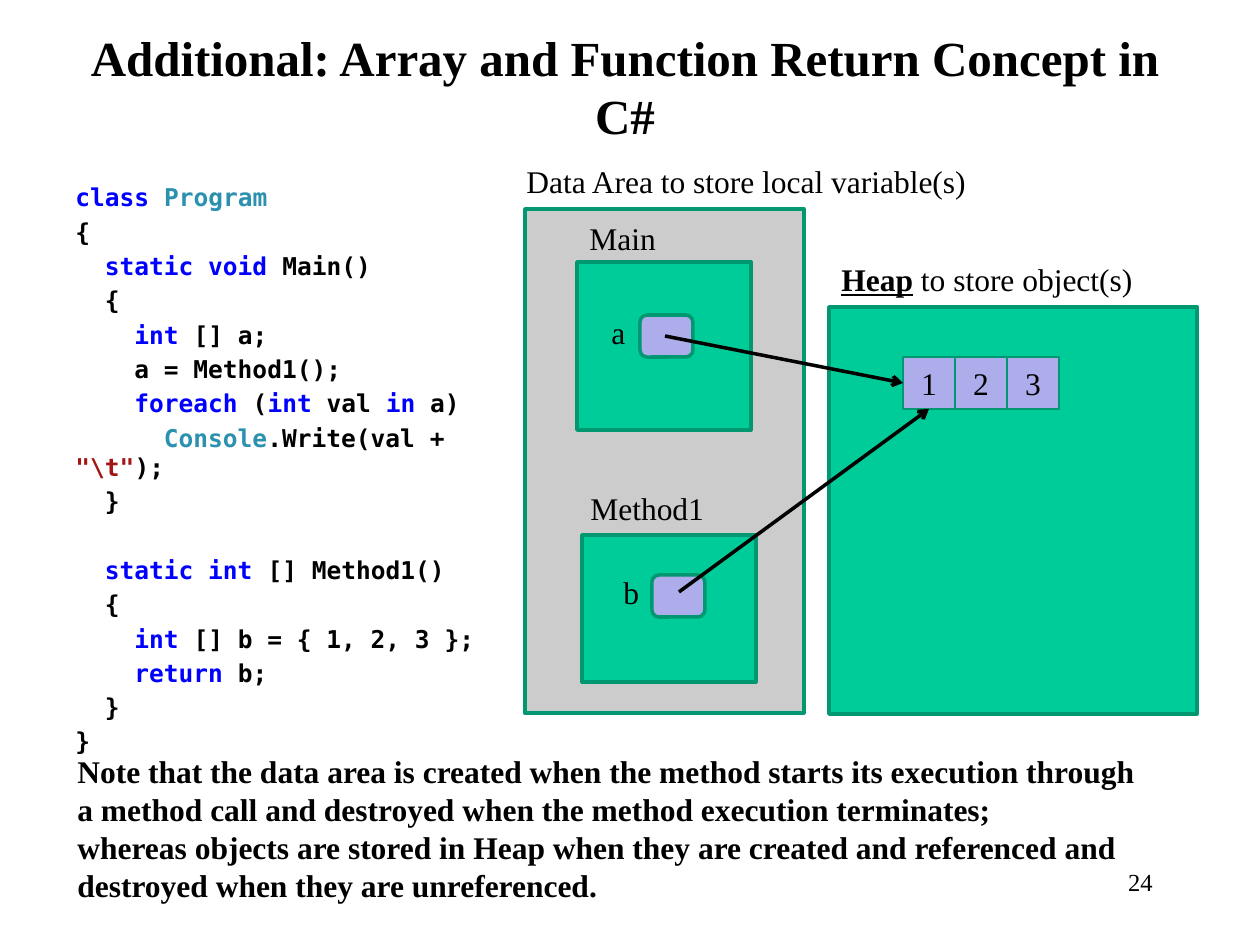
"""Build a slide on arrays and function return in C#."""
from pptx import Presentation
from pptx.dml.color import RGBColor
from pptx.enum.shapes import MSO_CONNECTOR, MSO_SHAPE
from pptx.enum.text import MSO_ANCHOR, PP_ALIGN
from pptx.oxml.ns import qn
from pptx.util import Emu, Pt
from lxml.etree import SubElement

SERIF = "Times New Roman"
MONO = "DejaVu Sans Mono"
BLACK = RGBColor(0x00, 0x00, 0x00)
GREY = RGBColor(0xCC, 0xCC, 0xCC)
GREEN = RGBColor(0x00, 0xCC, 0x99)
DARK_GREEN = RGBColor(0x00, 0x97, 0x71)
LILAC = RGBColor(0xAD, 0xAD, 0xEB)
KEYWORD = RGBColor(0x00, 0x00, 0xFF)
TYPE = RGBColor(0x2B, 0x91, 0xAF)
STRING = RGBColor(0xA3, 0x15, 0x15)

CODE_INDENT = Pt(16.86)
CODE_GAP = Pt(2.8)
METHOD_GAP = Pt(22.4)
CELL = 52

CODE = [
    (0, [("class ", KEYWORD), ("Program", TYPE)]),
    (0, [("{", BLACK)]),
    (1, [("static void", KEYWORD), (" Main()", BLACK)]),
    (1, [("{", BLACK)]),
    (2, [("int ", KEYWORD), ("[] a;", BLACK)]),
    (2, [("a = Method1();", BLACK)]),
    (2, [("foreach", KEYWORD), (" (", BLACK), ("int ", KEYWORD),
         ("val ", BLACK), ("in", KEYWORD), (" a)", BLACK)]),
    (3, [("Console", TYPE), (".Write(val + ", BLACK),
         ('"\\t"', STRING), (");", BLACK)]),
    (1, [("}", BLACK)]),
    (1, [("static int ", KEYWORD), ("[] Method1()", BLACK)]),
    (1, [("{", BLACK)]),
    (2, [("int ", KEYWORD), ("[] b = { 1, 2, 3 };", BLACK)]),
    (2, [("return ", KEYWORD), ("b;", BLACK)]),
    (1, [("}", BLACK)]),
    (0, [("}", BLACK)]),
]
SECOND_METHOD = 9

NOTES = [
    "Note that the data area is created when the method starts its execution "
    "through a method call and destroyed when the method execution terminates;",
    "whereas objects are stored in Heap when they are created and referenced "
    "and destroyed when they are unreferenced.",
]


def px(length):
    """Turn pixels into EMU."""
    return Emu(round(length * 914400 / 126))


def add_run(para, text, size=18, bold=False, color=BLACK, font=SERIF):
    """Add one styled run and return it."""
    span = para.add_run()
    span.text = text
    span.font.name = font
    span.font.size = Pt(size)
    span.font.bold = bold
    span.font.color.rgb = color
    return span


def add_box(page, bounds, anchor=MSO_ANCHOR.TOP):
    """Add an empty wrapping text box and return its text frame."""
    frame = page.shapes.add_textbox(*map(px, bounds)).text_frame
    frame.word_wrap = True
    frame.vertical_anchor = anchor
    return frame


def add_text(page, bounds, text, size=18, bold=False,
             align=PP_ALIGN.LEFT, anchor=MSO_ANCHOR.TOP):
    """Add a text box holding one paragraph."""
    para = add_box(page, bounds, anchor).paragraphs[0]
    para.alignment = align
    add_run(para, text, size, bold)
    return para


def add_area(page, bounds, fill, preset=MSO_SHAPE.RECTANGLE, width=2):
    """Add a filled, outlined shape."""
    shape = page.shapes.add_shape(preset, *map(px, bounds))
    shape.shadow.inherit = False
    shape.fill.solid()
    shape.fill.fore_color.rgb = fill
    shape.line.color.rgb = DARK_GREEN
    shape.line.width = Pt(width)
    return shape


def add_variable(page, left, top, name):
    """Add a rounded variable slot with its name on the left."""
    add_area(page, (left, top, 53, 42), LILAC, MSO_SHAPE.ROUNDED_RECTANGLE)
    add_text(page, (left - 41, top - 8, 58, 50), name)


def add_array(page, left, top, values):
    """Add a row of adjoining array cells."""
    for index, value in enumerate(values):
        cell = add_area(page, (left + index * CELL, top, CELL, CELL), LILAC, width=0.75)
        cell.text_frame.vertical_anchor = MSO_ANCHOR.MIDDLE
        para = cell.text_frame.paragraphs[0]
        para.alignment = PP_ALIGN.CENTER
        add_run(para, str(value))


def add_arrow(page, start, end):
    """Add a black reference arrow."""
    arrow = page.shapes.add_connector(MSO_CONNECTOR.STRAIGHT, *map(px, start + end))
    arrow.line.color.rgb = BLACK
    arrow.line.width = Pt(2)
    SubElement(arrow.line._get_or_add_ln(), qn("a:tailEnd"), type="arrow")
    SubElement(arrow._element.spPr, qn("a:effectLst"))


def add_code(page, bounds):
    """Add the coloured program listing."""
    frame = add_box(page, bounds)
    for index, (depth, pieces) in enumerate(CODE):
        para = frame.add_paragraph() if index else frame.paragraphs[0]
        para.space_before = METHOD_GAP if index == SECOND_METHOD else CODE_GAP
        properties = para._p.get_or_add_pPr()
        properties.set("marL", "0")
        properties.set("indent", str(depth * CODE_INDENT))
        for text, color in pieces:
            add_run(para, text, 14, True, color, MONO)


def add_notes(page, bounds):
    """Add the bold closing remarks."""
    frame = add_box(page, bounds)
    for index, text in enumerate(NOTES):
        para = frame.add_paragraph() if index else frame.paragraphs[0]
        add_run(para, text, bold=True)


def main():
    """Build and save the deck."""
    deck = Presentation()
    deck.slide_width, deck.slide_height = px(1260), px(945)
    page = deck.slides.add_slide(deck.slide_layouts[6])

    add_area(page, (525, 209, 279, 504), GREY)
    add_text(page, (63, 31, 1124, 120),
             "Additional: Array and Function Return Concept in C#",
             28, True, PP_ALIGN.CENTER, MSO_ANCHOR.BOTTOM)
    add_code(page, (63, 176, 462, 600))
    add_text(page, (903, 861, 262, 63), "24", 14, align=PP_ALIGN.RIGHT)

    add_area(page, (577, 262, 174, 168), GREEN)
    add_area(page, (582, 535, 174, 147), GREEN)
    add_area(page, (829, 307, 368, 407), GREEN)
    add_text(page, (577, 213, 174, 50), "Main")
    add_text(page, (578, 483, 174, 50), "Method1")
    heap = add_text(page, (829, 254, 368, 50), "Heap", bold=True)
    heap.runs[0].font.underline = True
    add_run(heap, " to store object(s)")

    add_variable(page, 640, 315, "a")
    add_variable(page, 652, 575, "b")
    add_array(page, 903, 357, (1, 2, 3))
    add_arrow(page, (665, 336), (903, 383))
    add_arrow(page, (679, 592), (929, 409))

    add_notes(page, (65, 746, 1090, 165))
    add_text(page, (514, 156, 468, 50), "Data Area to store local variable(s)")
    deck.save("out.pptx")


if __name__ == "__main__":
    main()
